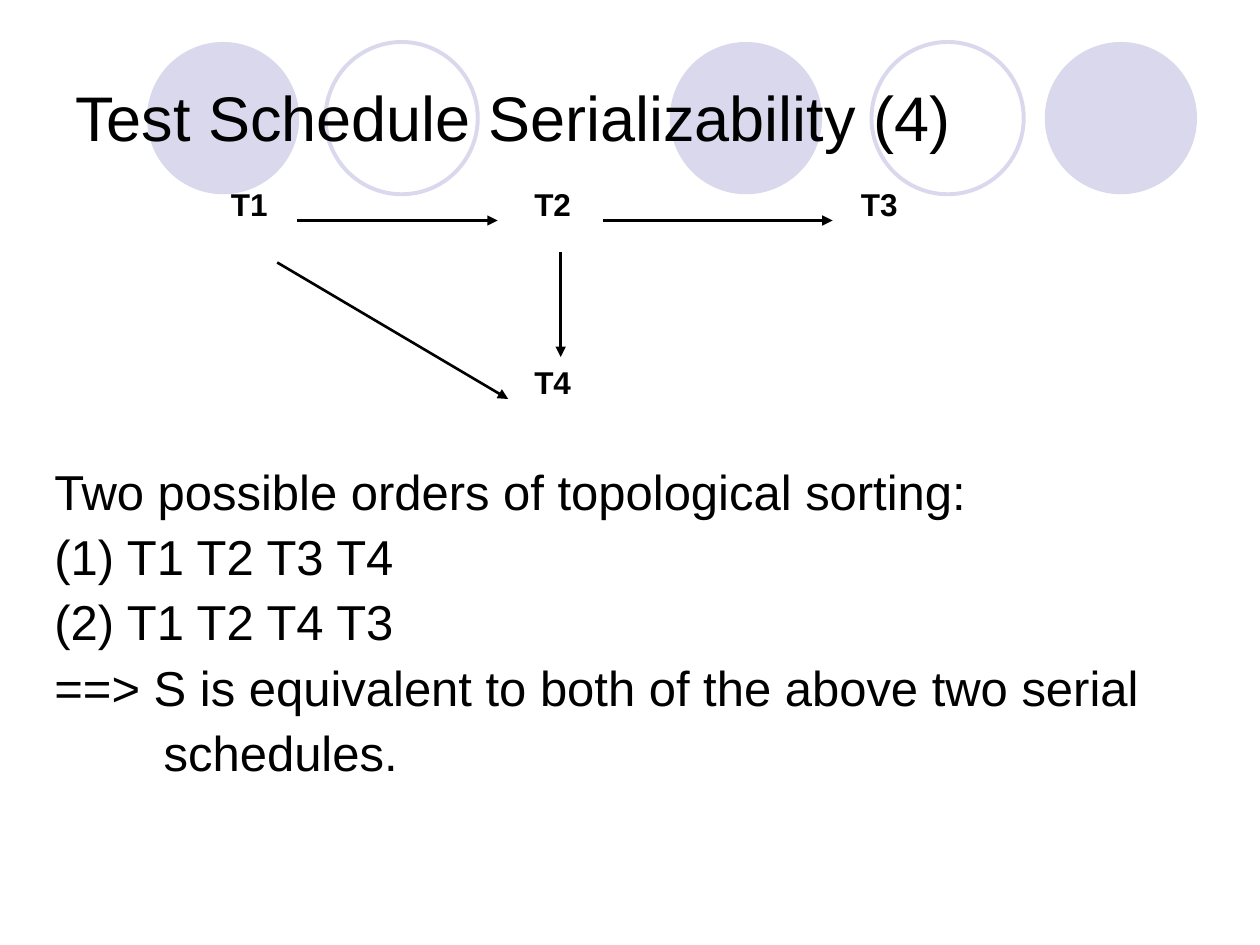
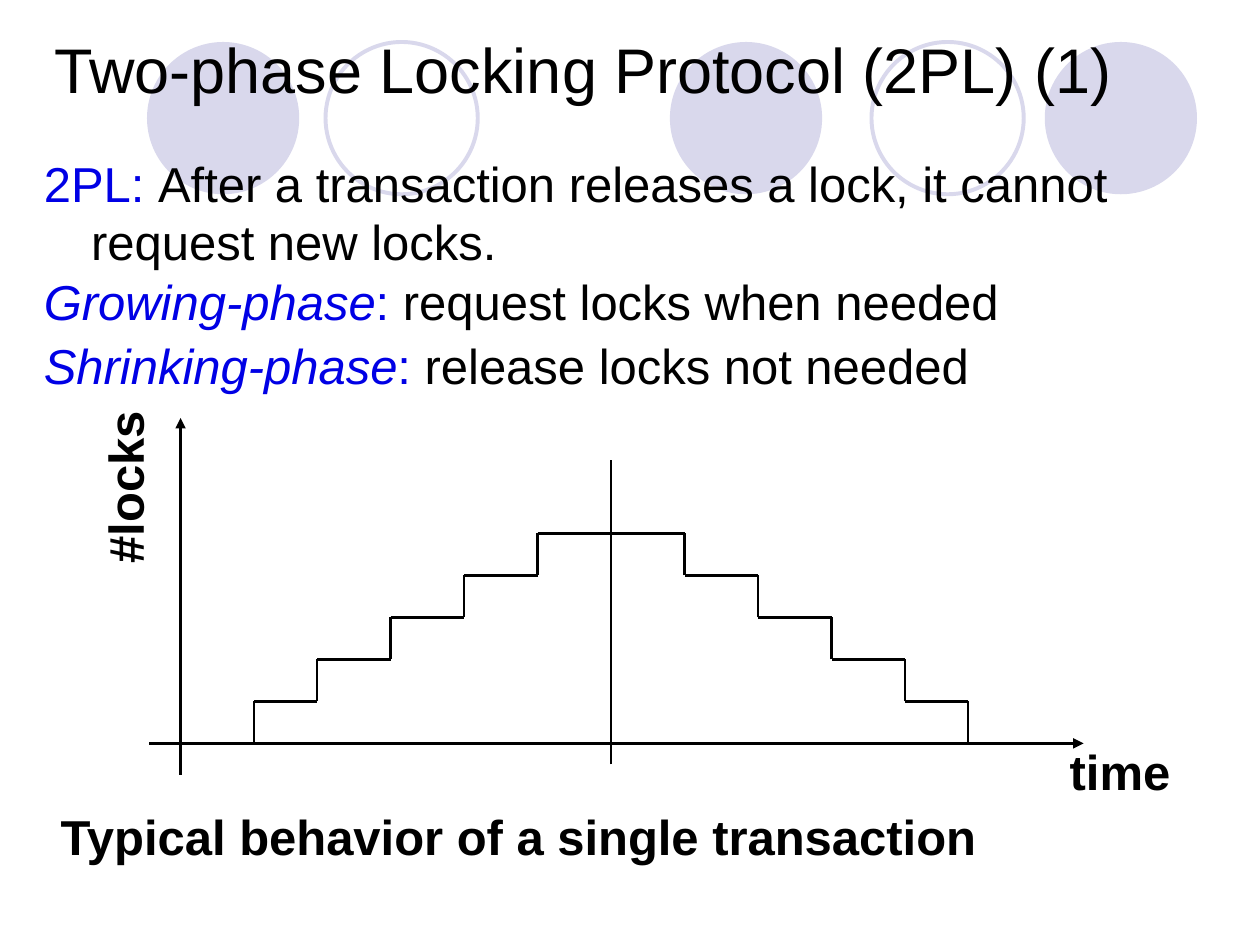
from itertools import pairwise

from lxml.etree import SubElement
from pptx import Presentation
from pptx.dml.color import RGBColor
from pptx.enum.shapes import MSO_CONNECTOR, MSO_SHAPE
from pptx.enum.text import MSO_ANCHOR as Anchor
from pptx.enum.text import MSO_AUTO_SIZE as AutoSize
from pptx.oxml.ns import qn
from pptx.util import Emu, Pt

PX = 7620  # 120 px to the inch
BLACK, BLUE, LILAC = "000000", "0000E5", "D9D8EC"
FONT = "Arial"
HANGING = 45


def px(length):
    return Emu(length * PX)


def color(code):
    return RGBColor.from_string(code)


class Painter:
    """Holds the deck, its style and the slide being filled."""

    def __init__(self):
        self.deck = Presentation()
        self.deck.slide_width, self.deck.slide_height = px(1200), px(900)
        self.page = None

    def new_page(self):
        self.page = self.deck.slides.add_slide(self.deck.slide_layouts[6])
        for left, filled in ((638, True), (995, True), (140, True),
                             (830, False), (310, False)):
            self.circle(left, filled)

    def circle(self, left, filled):
        shape = self.page.shapes.add_shape(
            MSO_SHAPE.OVAL, px(left), px(40), px(145), px(145))
        shape.shadow.inherit = False
        if filled:
            shape.fill.solid()
            shape.fill.fore_color.rgb = color(LILAC)
            shape.line.fill.background()
        else:
            shape.fill.background()
            shape.line.color.rgb = color(LILAC)
            shape.line.width = Pt(2.25)

    def box(self, left, top, width, height, wrap=True):
        box = self.page.shapes.add_textbox(px(left), px(top), px(width), px(height))
        box.text_frame.word_wrap = wrap
        return box

    def span(self, para, text, size, code=BLACK, bold=False, italic=False):
        span = para.add_run()
        span.text = text
        font = span.font
        font.name, font.size, font.bold, font.italic = FONT, Pt(size), bold, italic
        font.color.rgb = color(code)

    def title(self, text, left, top, width, height):
        frame = self.box(left, top, width, height).text_frame
        frame.vertical_anchor = Anchor.MIDDLE
        self.span(frame.paragraphs[0], text, 36)

    def body(self, paragraphs, left, top, width, height):
        """Each paragraph is (line spacing, first-line offset, spans)."""
        frame = self.box(left, top, width, height).text_frame
        for index, (spacing, offset, spans) in enumerate(paragraphs):
            para = frame.add_paragraph() if index else frame.paragraphs[0]
            para.line_spacing, para.space_before = spacing, Pt(7)
            props = para._p.get_or_add_pPr()
            props.set("marL", str(px(HANGING)))
            props.set("indent", str(px(offset - HANGING)))
            for text, *look in spans:
                self.span(para, text, 28, *look)

    def label(self, text, size, left, top, width, height, rotation=0):
        box = self.box(left, top, width, height, wrap=False)
        box.text_frame.auto_size = AutoSize.SHAPE_TO_FIT_TEXT
        box.rotation = rotation
        self.span(box.text_frame.paragraphs[0], text, size, bold=True)

    def line(self, start, end, arrow=False):
        line = self.page.shapes.add_connector(
            MSO_CONNECTOR.STRAIGHT, *map(px, (*start, *end)))
        line.line.color.rgb = color(BLACK)
        line.line.width = Pt(1.5)
        if arrow:
            SubElement(line.line._get_or_add_ln(), qn("a:tailEnd"), type="triangle")
        SubElement(line._element.spPr, qn("a:effectLst"))


def serializability_page(painter):
    painter.new_page()
    painter.title("Test Schedule Serializability (4)", 60, 36, 1080, 150)
    lines = ((0, "Two possible orders of topological sorting:"),
             (0, "(1) T1 T2 T3 T4"),
             (0, "(2) T1 T2 T4 T3"),
             (0, "==> S is equivalent to both of the above two serial"),
             (104, "schedules."))
    painter.body([(0.9, offset, [(text,)]) for offset, text in lines],
                 40, 440, 1120, 420)
    for name, left, top in (("T1", 208, 170), ("T2", 497, 170),
                            ("T4", 497, 340), ("T3", 808, 170)):
        painter.label(name, 18, left, top, 59, 48)
    for start, end in (((283, 210), (474, 210)), ((264, 250), (484, 380)),
                       ((574, 210), (793, 210)), ((534, 240), (534, 340))):
        painter.line(start, end, arrow=True)


def locking_page(painter):
    painter.new_page()
    painter.title("Two-phase Locking Protocol (2PL) (1)", 40, 20, 1120, 90)
    painter.body([
        (1.0, 0, [("2PL: ", BLUE),
                  ("After a transaction releases a lock, it cannot request new locks.",)]),
        (0.8, 0, [("Growing-phase", BLUE, False, True), (": ", BLUE),
                  ("request locks when needed",)]),
        (0.9, 0, [("Shrinking-phase", BLUE, False, True), (": ", BLUE),
                  ("release locks not needed",)]),
    ], 30, 140, 1140, 730)

    base, rise, peak = 708, 40, 582
    painter.line((142, base), (1032, base), arrow=True)
    painter.line((172, 738), (172, 398), arrow=True)
    painter.line((peak, 728), (peak, 438))
    painter.label("time", 28, 1007, 700, 120, 68)
    painter.label("#locks", 28, 34, 430, 169, 68, rotation=270)
    painter.label("Typical behavior of a single transaction", 28, 46, 762, 899, 68)

    growing = [(242, base)]
    for step, (left, right) in enumerate(pairwise((242, 302, 372, 442, 512, peak)), 1):
        level = base - step * rise
        growing += [(left, level), (right, level)]
    shrinking = [(2 * peak - x, y) for x, y in growing]
    for stairs in (growing, shrinking):
        for start, end in pairwise(stairs):
            painter.line(start, end)


def main():
    painter = Painter()
    serializability_page(painter)
    locking_page(painter)
    painter.deck.save("out.pptx")


if __name__ == "__main__":
    main()
